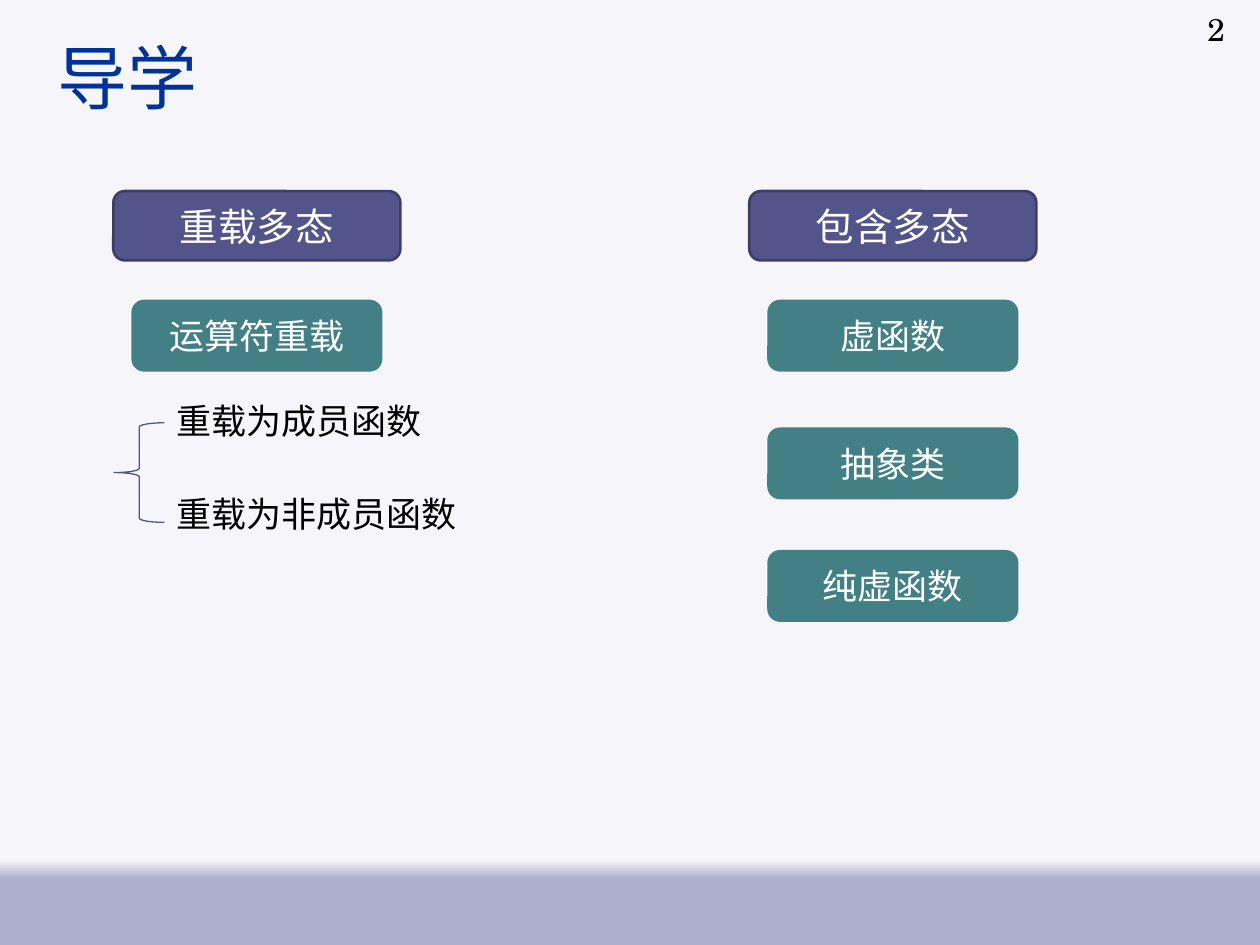
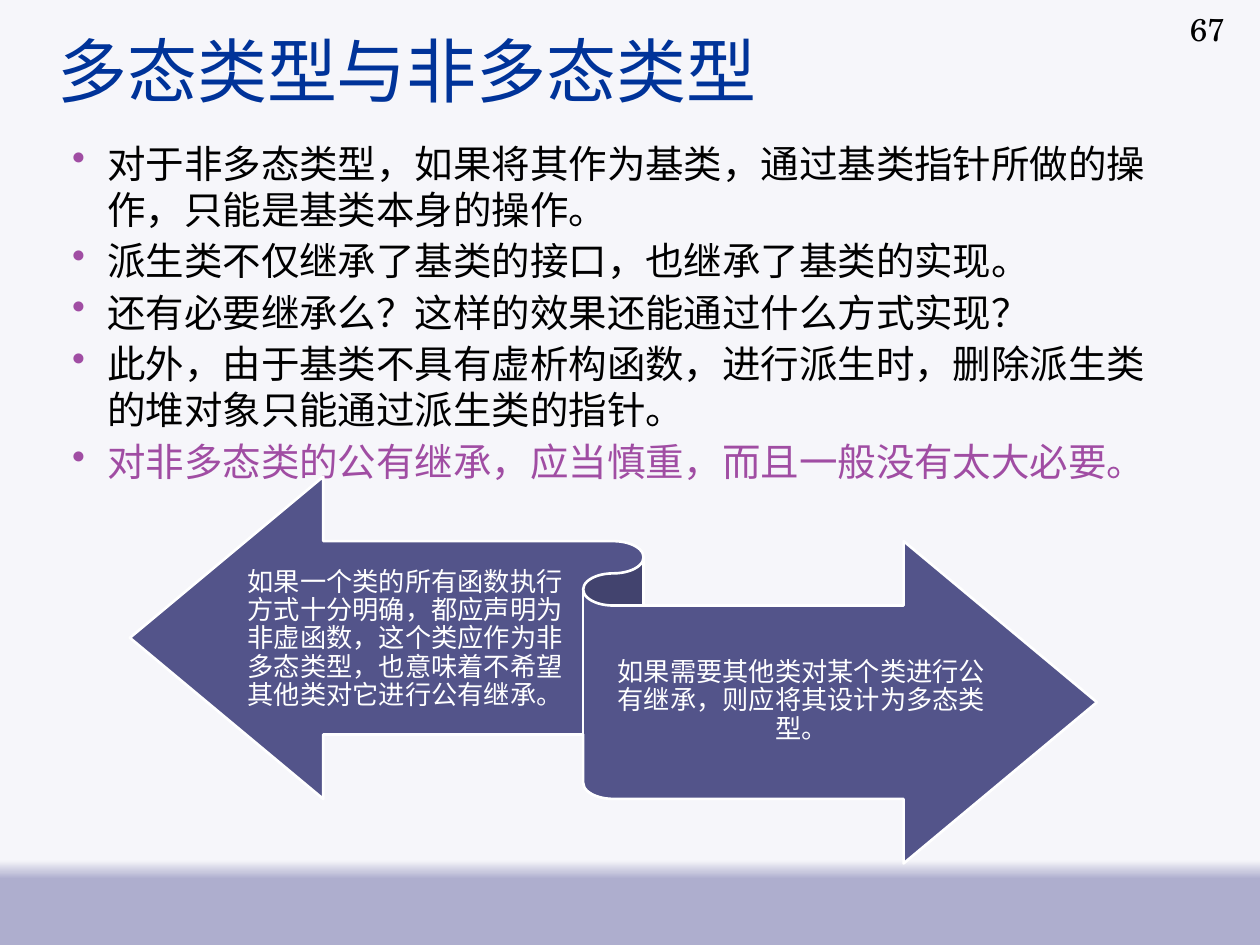
from dataclasses import dataclass

from lxml.etree import SubElement
from pptx import Presentation
from pptx.dml.color import RGBColor as Color
from pptx.enum.shapes import MSO_SHAPE as Shape
from pptx.enum.text import MSO_ANCHOR as Anchor, PP_ALIGN as Align
from pptx.oxml.ns import qn
from pptx.util import Pt


@dataclass(frozen=True)
class Theme:
    """Colours, fonts and type sizes shared by the slides."""
    paper: str = "F6F6FA"
    band: str = "AEAECE"
    title: str = "003399"
    ink: str = "000000"
    white: str = "FFFFFF"
    indigo: str = "53548A"
    indigo_edge: str = "3D3E66"
    teal: str = "438086"
    accent: str = "A04DA3"
    sans: str = "Noto Sans CJK SC"
    serif: str = "TeX Gyre Schola"
    label: str = "Times New Roman"
    title_size: int = 40
    body_size: int = 22
    topic_size: int = 20
    number_size: int = 18
    arrow_size: int = 15


THEME = Theme()
TITLE_ONLY = 5
COLUMN_TOP = 109.2
HEADING_SIZE = (164, 39.6)
TOPIC_SIZE = (142, 39.6)
TOPIC_TOPS = (172, 245, 315)

COLUMNS = (
    (64.8, "重载多态", ("运算符重载",)),
    (428.2, "包含多态", ("虚函数", "抽象类", "纯虚函数")),
)
OVERLOAD_KINDS = ((224.6, "重载为成员函数"), (278, "重载为非成员函数"))
POINTS = (
    "对于非多态类型，如果将其作为基类，通过基类指针所做的操作，只能是基类本身的操作。",
    "派生类不仅继承了基类的接口，也继承了基类的实现。",
    "还有必要继承么？这样的效果还能通过什么方式实现？",
    "此外，由于基类不具有虚析构函数，进行派生时，删除派生类的堆对象只能通过派生类的指针。",
    "对非多态类的公有继承，应当慎重，而且一般没有太大必要。",
)
ARROW_TEXTS = (
    ((140.4, 311, 182.2, 108.7),
     "如果一个类的所有函数执行方式十分明确，都应声明为非虚函数，这个类应作为非多态类型，也意味着不希望其他类对它进行公有继承。"),
    ((350, 346.3, 216, 108.7),
     "如果需要其他类对某个类进行公有继承，则应将其设计为多态类型。"),
)


def points(*lengths):
    """Turn numbers into lengths in points."""
    return [Pt(length) for length in lengths]


def style_para(para, size, color, font, align=Align.LEFT):
    """Align a paragraph and format its runs, Chinese glyphs included."""
    glyphs = THEME.sans if font == THEME.label else font
    para.alignment = align
    for span in para.runs:
        span.font.size = Pt(size)
        span.font.color.rgb = Color.from_string(color)
        span.font.name = font
        SubElement(span.font._element, qn("a:ea"), typeface=glyphs)


def add_bullet(para):
    """Give a paragraph a hanging coloured bullet."""
    props = para._p.get_or_add_pPr()
    props.set("marL", str(Pt(28.8)))
    props.set("indent", str(Pt(-20.2)))
    tint = SubElement(props, qn("a:buClr"))
    SubElement(tint, qn("a:srgbClr"), val=THEME.accent)
    SubElement(props, qn("a:buChar"), char="•")


def add_text(page, place, text, size, color, font, align=Align.LEFT, anchor=Anchor.TOP):
    """Add a wrapping text box and return its frame."""
    frame = page.shapes.add_textbox(*points(*place)).text_frame
    frame.word_wrap = True
    frame.vertical_anchor = anchor
    frame.text = text
    for para in frame.paragraphs:
        style_para(para, size, color, font, align)
    return frame


def add_outline(page, kind, place, fill, edge, width):
    """Add a preset shape without shadow; no fill colour leaves it open."""
    shape = page.shapes.add_shape(kind, *points(*place))
    shape.shadow.inherit = False
    if fill:
        shape.fill.solid()
        shape.fill.fore_color.rgb = Color.from_string(fill)
    else:
        shape.fill.background()
    shape.line.color.rgb = Color.from_string(edge)
    shape.line.width = Pt(width)
    return shape


def add_card(page, place, text, fill, edge, size):
    """Add a rounded rectangle with a centred white label."""
    card = add_outline(page, Shape.ROUNDED_RECTANGLE, place, fill, edge, 1.5)
    frame = card.text_frame
    frame.vertical_anchor = Anchor.MIDDLE
    frame.text = text
    style_para(frame.paragraphs[0], size, THEME.white, THEME.sans, Align.CENTER)


def add_column(page, left, heading, topics):
    """Add a heading with its topics centred below it."""
    add_card(page, (left, COLUMN_TOP, *HEADING_SIZE), heading,
             THEME.indigo, THEME.indigo_edge, THEME.body_size)
    topic_left = left + (HEADING_SIZE[0] - TOPIC_SIZE[0]) / 2
    for top, topic in zip(TOPIC_TOPS, topics):
        add_card(page, (topic_left, top, *TOPIC_SIZE), topic,
                 THEME.teal, THEME.teal, THEME.topic_size)


def add_points(page):
    """Add the bulleted list, its conclusion in the accent colour."""
    frame = add_text(page, (25.5, 76.3, 648, 338.4), "\n".join(POINTS),
                     THEME.body_size, THEME.ink, THEME.sans)
    for index, para in enumerate(frame.paragraphs):
        add_bullet(para)
        para.space_before = Pt(3 if index else 0)
    conclusion = frame.paragraphs[-1].runs[0]
    conclusion.font.color.rgb = Color.from_string(THEME.accent)


def add_ribbon(page):
    """Add the two-way ribbon and the text on each arrow."""
    add_outline(page, Shape.LEFT_RIGHT_RIBBON, (74.2, 272.4, 552.6, 221),
                THEME.indigo, THEME.white, 1.5)
    for place, text in ARROW_TEXTS:
        frame = add_text(page, place, text, THEME.arrow_size, THEME.white,
                         THEME.serif, Align.CENTER, Anchor.MIDDLE)
        frame.margin_left = frame.margin_right = 0
        frame.paragraphs[0].line_spacing = 0.9


def paint_background(deck):
    """Paint the pale page with its lower band on the master."""
    fill = deck.slide_master.background.fill
    fill.gradient()
    fill.gradient_angle = 270
    stops = ((0.91, THEME.paper), (0.93, THEME.band))
    for stop, (position, color) in zip(fill.gradient_stops, stops):
        stop.position = position
        stop.color.rgb = Color.from_string(color)


def add_page(deck, title, number, title_top):
    """Add a slide with its title and page number."""
    page = deck.slides.add_slide(deck.slide_layouts[TITLE_ONLY])
    holder = page.shapes.title
    holder.left, holder.top, holder.width, holder.height = points(25.5, title_top, 648, 84.2)
    frame = holder.text_frame
    frame.vertical_anchor = Anchor.MIDDLE
    frame.text = title
    style_para(frame.paragraphs[0], THEME.title_size, THEME.title, THEME.sans)
    add_text(page, (545, 2.2, 162, 28.8), number, THEME.number_size,
             THEME.ink, THEME.serif, Align.RIGHT, Anchor.MIDDLE)
    return page


def build_guide(deck):
    """Build the overview of the two kinds of polymorphism."""
    page = add_page(deck, "导学", "2", 1.8)
    for column in COLUMNS:
        add_column(page, *column)
    for top, text in OVERLOAD_KINDS:
        add_text(page, (93.6, top, 187.2, 31.7), text,
                 THEME.topic_size, THEME.ink, THEME.label)
    add_outline(page, Shape.LEFT_BRACE, (65.2, 241.6, 28.8, 56.9), None, THEME.indigo, 0.75)


def build_comparison(deck):
    """Build the slide on polymorphic and other types."""
    page = add_page(deck, "多态类型与非多态类型", "67", -2.2)
    add_points(page)
    add_ribbon(page)


def main():
    """Build and save the deck."""
    deck = Presentation()
    deck.slide_width, deck.slide_height = points(720, 540)
    paint_background(deck)
    build_guide(deck)
    build_comparison(deck)
    deck.save("out.pptx")


if __name__ == "__main__":
    main()
